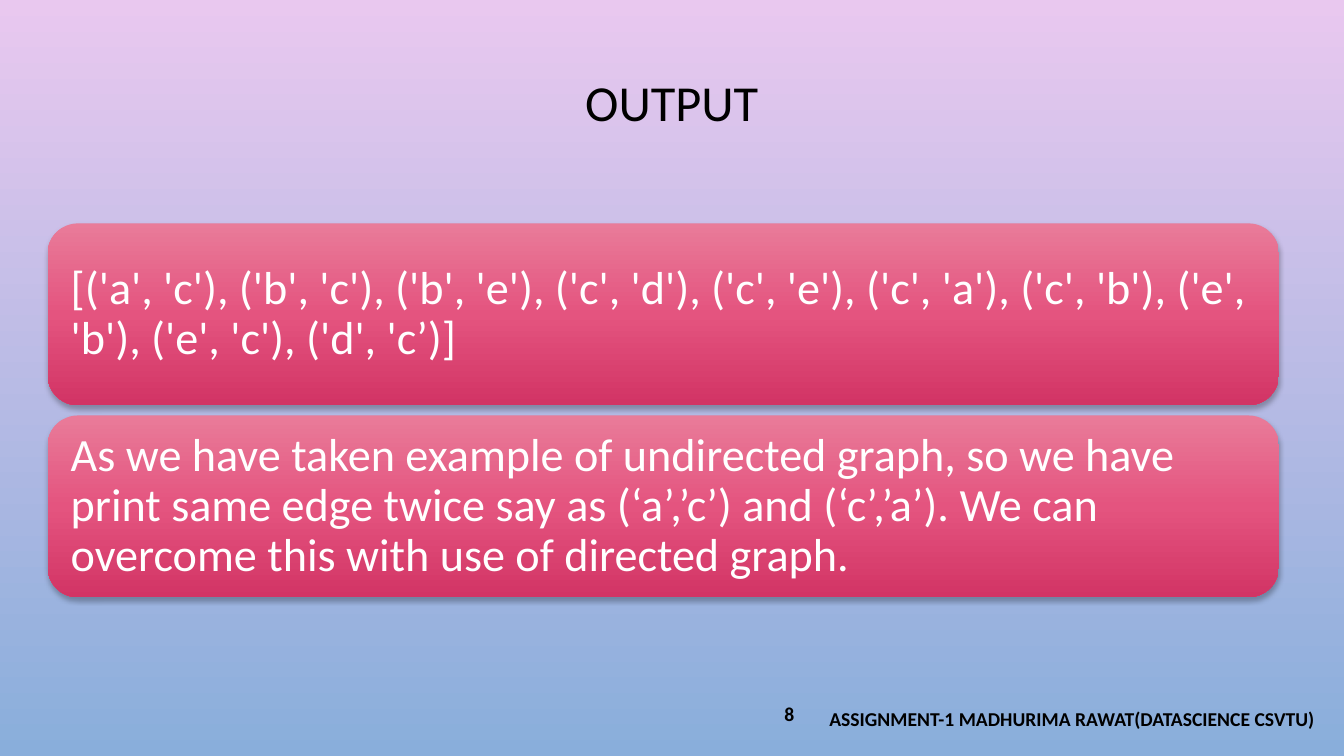
from dataclasses import dataclass

from lxml import etree
from pptx import Presentation
from pptx.dml.color import RGBColor
from pptx.enum.shapes import MSO_SHAPE
from pptx.enum.text import MSO_ANCHOR, MSO_AUTO_SIZE, PP_ALIGN
from pptx.oxml.ns import qn
from pptx.util import Cm, Pt

ROUNDED = MSO_SHAPE.ROUNDED_RECTANGLE
MIDDLE = MSO_ANCHOR.MIDDLE
FIXED = MSO_AUTO_SIZE.NONE
LEFT, CENTER, RIGHT = PP_ALIGN.LEFT, PP_ALIGN.CENTER, PP_ALIGN.RIGHT
TITLE_ONLY = 5


@dataclass(frozen=True)
class Theme:
    """Colours, font and type sizes of the slide."""
    font: str = "Calibri"
    dark: str = "000000"
    light: str = "FFFFFF"
    backdrop: tuple = ((0, "E9C8EF"), (100, "89AEDB"))
    panel: tuple = ((0, "E97B99"), (50, "E4547F"), (100, "D23465"))
    title_size: int = 36
    panel_size: int = 33
    footer_size: int = 14


THEME = Theme()
PANEL_TEXTS = (
    "[('a', 'c'), ('b', 'c'), ('b', 'e'), ('c', 'd'), ('c', 'e'), ('c', 'a'), "
    "('c', 'b'), ('e', 'b'), ('e', 'c'), ('d', 'c’)]",
    "As we have taken example of undirected graph, so we have print same edge "
    "twice say as (‘a’,’c’) and (‘c’,’a’). We can overcome this with use of "
    "directed graph.",
)
PANEL_LEFT, PANEL_TOP, PANEL_WIDTH, PANEL_HEIGHT = 1.2, 5.63, 31.03, 4.58
PANEL_PITCH = 4.84
PANEL_INSET = 0.36


def apply_format(target, values):
    """Set each named attribute on the target."""
    for name, value in values.items():
        setattr(target, name, value)


def paint_gradient(fill, owner, stops):
    """Fill from top to bottom with (percent, colour) stops."""
    fill.gradient()
    fill.gradient_angle = 270
    stop_list = next(owner.iter(qn("a:gsLst")))
    for old_stop in list(stop_list):
        stop_list.remove(old_stop)
    for percent, colour in stops:
        stop = etree.SubElement(stop_list, qn("a:gs"), pos=str(percent * 1000))
        etree.SubElement(stop, qn("a:srgbClr"), val=colour)


def add_soft_shadow(shape):
    """Give the shape a faint shadow that falls straight down."""
    shape.shadow.inherit = False
    effects = next(shape.element.iter(qn("a:effectLst")))
    shadow = etree.SubElement(
        effects, qn("a:outerShdw"), blurRad=str(Pt(4)), dist=str(Pt(2)),
        dir="5400000", algn="ctr", rotWithShape="0")
    colour = etree.SubElement(shadow, qn("a:srgbClr"), val=THEME.dark)
    etree.SubElement(colour, qn("a:alpha"), val="28000")


def write_text(box, text, size, colour, align=LEFT, bold=False, spacing=1.0):
    """Write one vertically centred paragraph into a box."""
    frame = box.text_frame
    apply_format(frame, {"text": text, "word_wrap": True, "auto_size": FIXED,
                         "vertical_anchor": MIDDLE})
    para = frame.paragraphs[0]
    apply_format(para, {"alignment": align, "line_spacing": spacing})
    span = para.runs[0]
    apply_format(span.font, {"name": THEME.font, "size": Pt(size), "bold": bold})
    span.font.color.rgb = RGBColor.from_string(colour)


def add_title(page, text):
    """Place and format the title placeholder."""
    title = page.shapes.title
    apply_format(title, {"left": Cm(2.54), "top": Cm(0.43),
                         "width": Cm(28.78), "height": Cm(4.45)})
    write_text(title, text, THEME.title_size, THEME.dark, CENTER, spacing=0.9)


def add_panel(page, top, text):
    """Add a rounded gradient panel that holds its text."""
    panel = page.shapes.add_shape(ROUNDED, Cm(PANEL_LEFT), Cm(top),
                                  Cm(PANEL_WIDTH), Cm(PANEL_HEIGHT))
    paint_gradient(panel.fill, panel.element, THEME.panel)
    panel.line.fill.background()
    add_soft_shadow(panel)
    inset = Cm(PANEL_INSET)
    apply_format(panel.text_frame, {"margin_left": inset, "margin_right": inset,
                                    "margin_top": inset, "margin_bottom": inset})
    write_text(panel, text, THEME.panel_size, THEME.light, spacing=0.9)


def add_footer(page, left, top, width, text, align):
    """Add a bold footer line."""
    box = page.shapes.add_textbox(Cm(left), Cm(top), Cm(width), Cm(1.02))
    write_text(box, text, THEME.footer_size, THEME.dark, align, bold=True)


def main():
    """Build the output slide and save the deck."""
    deck = Presentation()
    apply_format(deck, {"slide_width": Cm(33.87), "slide_height": Cm(19.05)})
    page = deck.slides.add_slide(deck.slide_layouts[TITLE_ONLY])
    paint_gradient(page.background.fill, page.element, THEME.backdrop)
    add_title(page, "OUTPUT")
    for index, text in enumerate(PANEL_TEXTS):
        add_panel(page, PANEL_TOP + index * PANEL_PITCH, text)
    add_footer(page, 20.65, 17.6, 13.2,
               "ASSIGNMENT-1 MADHURIMA RAWAT(DATASCIENCE CSVTU)", LEFT)
    add_footer(page, 18.14, 17.48, 2.13, "8", RIGHT)
    deck.save("out.pptx")


if __name__ == "__main__":
    main()
